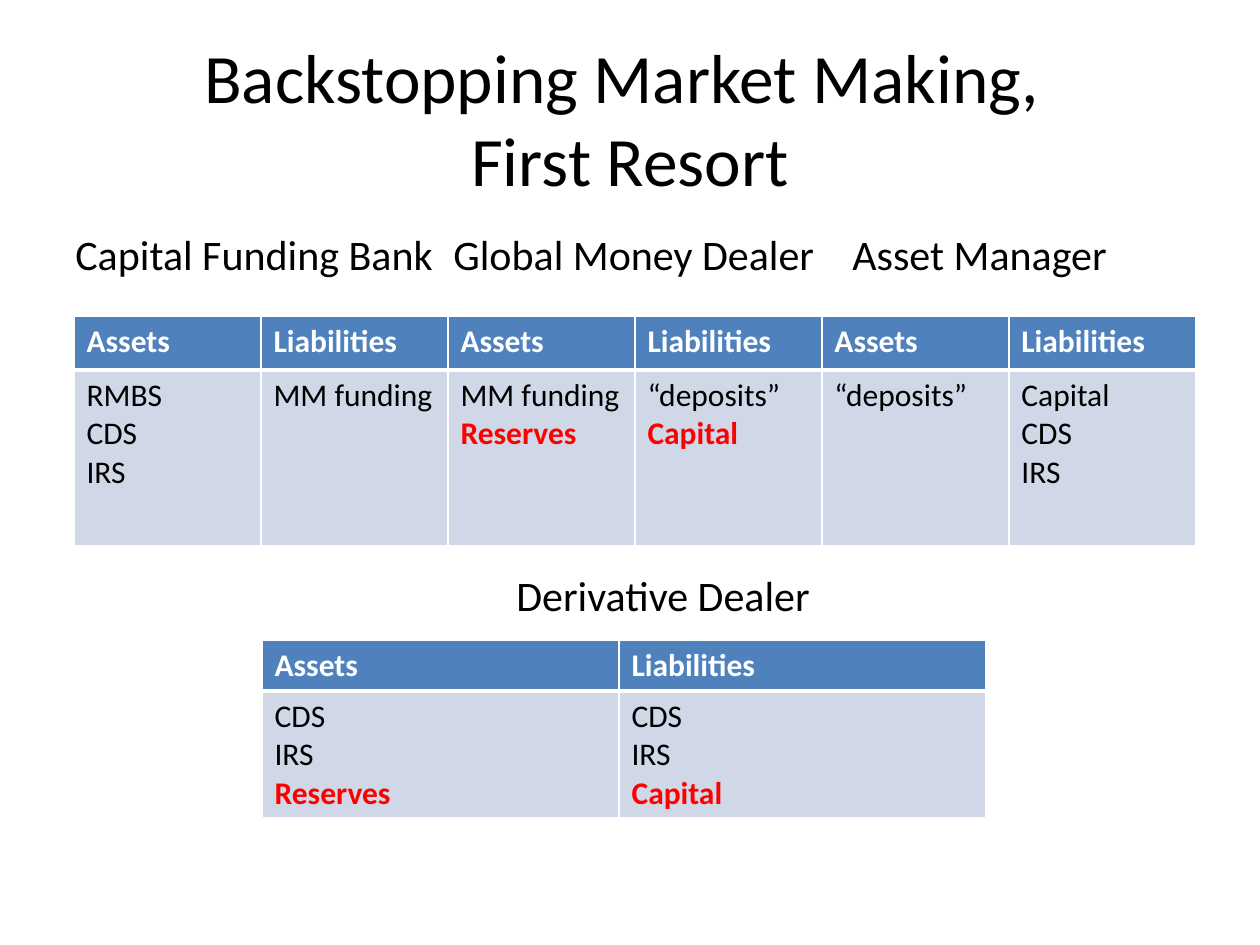
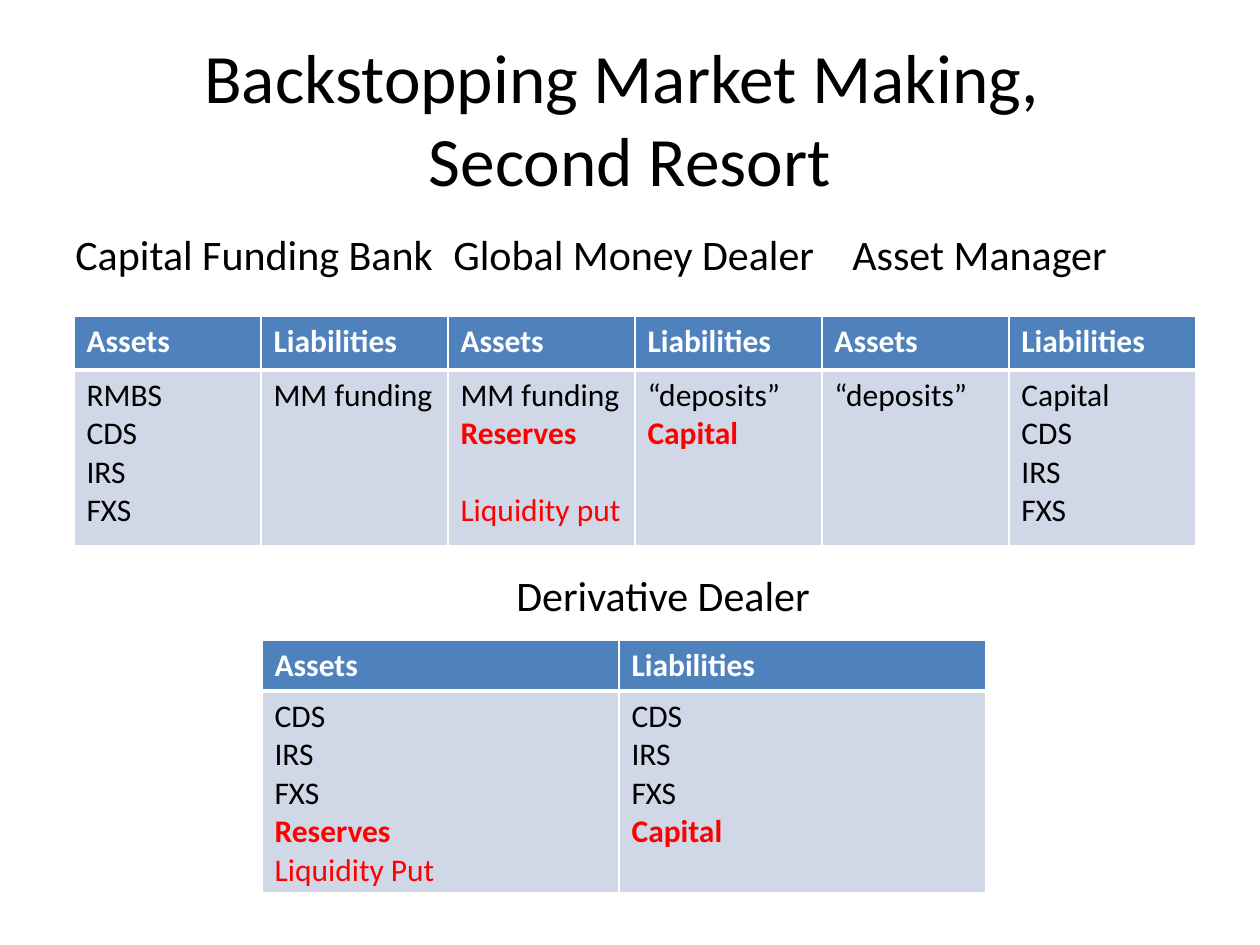
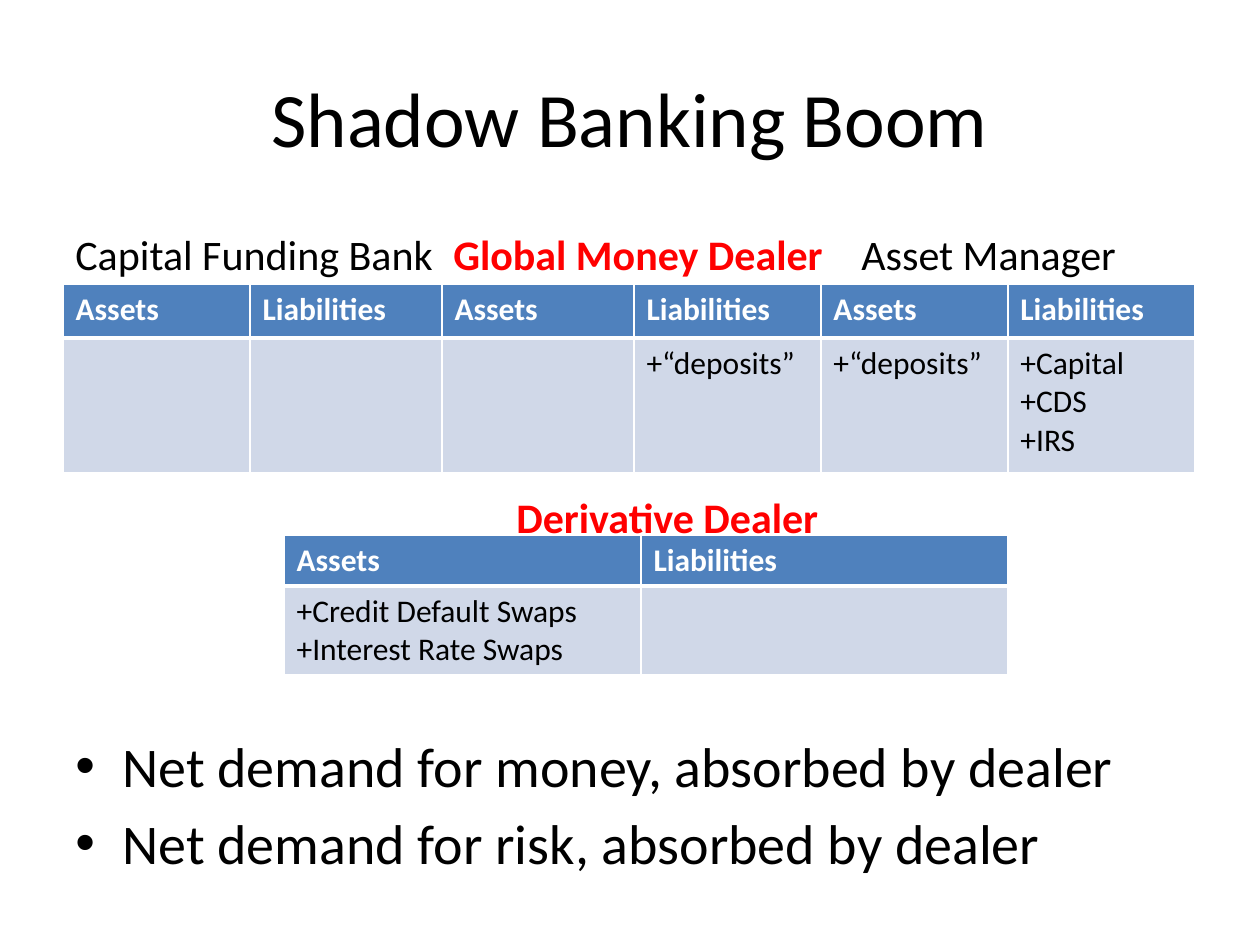
from collections import namedtuple
from dataclasses import dataclass

from lxml.etree import SubElement as Sub
from pptx import Presentation
from pptx.dml.color import RGBColor as Rgb
from pptx.enum.text import MSO_ANCHOR as Anchor, PP_ALIGN as Align
from pptx.oxml.ns import qn
from pptx.util import Emu, Pt

Box = namedtuple("Box", "x y w h")
Bit = namedtuple("Bit", "text color bold gap")


@dataclass(frozen=True)
class Theme:
    font: str = "Calibri"
    ink: str = "000000"
    paper: str = "FFFFFF"
    head: str = "4F81BD"
    body: str = "D0D8E8"
    alert: str = "FF0000"
    title: float = 44
    pair: float = 39.6
    label: float = 24
    point: float = 32
    cell: float = 18


THEME = Theme()
TITLE = Box(63, 38, 1134, 158)
BODY = Box(63, 222, 1134, 624)
STOPS = (378, 777)
DEALER = 441
HANG = 47
LINE = 38
SIDES = ("Assets", "Liabilities")
HALVES = (357, 367)


def px(n):
    return Emu(round(n * 914400 / 126))


def plain(text):
    return Bit(text, THEME.ink, False, 0)


def hot(text, bold=True, gap=0):
    return Bit(text, THEME.alert, bold, gap)


def style(run, size, color, bold=False):
    font = run.font
    font.name = THEME.font
    font.size = Pt(size)
    font.bold = bold
    font.color.rgb = Rgb.from_string(color)


def write(para, bits, size, gap=0):
    if gap:
        para.space_before = px(gap)
    for bit in bits:
        run = para.add_run()
        run.text = bit.text
        style(run, size, bit.color, bit.bold)


def frame(slide, box):
    text = slide.shapes.add_textbox(*map(px, box)).text_frame
    text.word_wrap = True
    return text


def title(slide, box, text, size):
    area = frame(slide, box)
    area.vertical_anchor = Anchor.MIDDLE
    area.text = text
    para = area.paragraphs[0]
    para.alignment = Align.CENTER
    for run in para.runs:
        style(run, size, THEME.ink)


def indent(para, left, first=0):
    props = para._p.get_or_add_pPr()
    props.set("marL", str(px(left)))
    props.set("indent", str(px(first)))
    return props


def labels(slide, box, money, dealer, drop, stops=STOPS):
    area = frame(slide, box)
    top = area.paragraphs[0]
    write(top, [plain("Capital Funding Bank\t"), money, plain("\tAsset Manager")], THEME.label)
    tabs = Sub(top._p.get_or_add_pPr(), qn("a:tabLst"))
    for stop in stops:
        Sub(tabs, qn("a:tab"), pos=str(px(stop)), algn="l")
    low = area.add_paragraph()
    write(low, [dealer], THEME.label, drop)
    indent(low, DEALER)
    return area


def points(area, items, drop, gap):
    for i, item in enumerate(items):
        para = area.add_paragraph()
        write(para, [plain(item)], THEME.point, gap if i else drop)
        props = indent(para, HANG, -HANG)
        Sub(props, qn("a:buFont"), typeface="Arial")
        Sub(props, qn("a:buChar"), char="•")


def edge(cell, side, width):
    line = Sub(cell._tc.get_or_add_tcPr(), qn("a:ln" + side), w=str(Pt(width)))
    Sub(Sub(line, qn("a:solidFill")), qn("a:srgbClr"), val=THEME.paper)


def paint(cell, color, thick):
    for side in "LRTB":
        edge(cell, side, 3 if side == thick else 1)
    cell.fill.solid()
    cell.fill.fore_color.rgb = Rgb.from_string(color)


def fill(cell, bits):
    area = cell.text_frame
    for i, bit in enumerate(bits):
        para = area.add_paragraph() if i else area.paragraphs[0]
        write(para, [bit], THEME.cell, bit.gap)


def sheet(slide, x, y, cols, rows, cells):
    box = Box(x, y, sum(cols), sum(rows))
    grid = slide.shapes.add_table(2, len(cols), *map(px, box)).table
    grid.horz_banding = False
    for row, high in zip(grid.rows, rows):
        row.height = px(high)
    for i, (wide, bits) in enumerate(zip(cols, cells)):
        grid.columns[i].width = px(wide)
        head, body = grid.cell(0, i), grid.cell(1, i)
        paint(head, THEME.head, "B")
        paint(body, THEME.body, "T")
        fill(head, [Bit(SIDES[i % 2], THEME.paper, True, 0)])
        fill(body, bits)


def resort(slide, rank, swaps, put, low, high):
    title(slide, TITLE, f"Backstopping Market Making, \v{rank} Resort", THEME.pair)
    labels(slide, BODY, plain("Global Money Dealer"), plain("Derivative Dealer"), 291)
    swaps = [plain(name) for name in swaps]
    fund, claim = plain("MM funding"), plain("“deposits”")
    held, owed = hot("Reserves"), hot("Capital")
    sheet(slide, 74, 316, [187] * 6, (54, 176), [
        [plain("RMBS"), *swaps],
        [fund],
        [fund, held, *put],
        [claim, owed],
        [claim],
        [plain("Capital"), *swaps],
    ])
    sheet(slide, 262, 640, HALVES, (51, high), [[*swaps, held, *low], [*swaps, owed]])


def boom(slide):
    title(slide, TITLE, "Shadow Banking Boom", THEME.title)
    area = labels(slide, BODY, hot("Global Money Dealer"), hot("Derivative Dealer"), 213, (378, 786))
    points(area, ("Net demand for money, absorbed by dealer",
                  "Net demand for risk, absorbed by dealer"), 189, 10)
    claim = [plain("+“deposits”")]
    sheet(slide, 63, 284, (187, 192, 192, 187, 187, 187), (54, 135), [
        [], [], [], claim, claim,
        [plain("+Capital"), plain("+CDS"), plain("+IRS")],
    ])
    sheet(slide, 284, 535, HALVES, (51, 89), [
        [plain("+Credit Default Swaps"), plain("+Interest Rate Swaps")], [],
    ])


def main():
    deck = Presentation()
    deck.slide_width, deck.slide_height = px(1260), px(945)
    first, second, third = (deck.slides.add_slide(deck.slide_layouts[6]) for _ in range(3))
    resort(first, "First", ("CDS", "IRS"), [], [], 127)
    resort(second, "Second", ("CDS", "IRS", "FXS"),
           [hot("Liquidity put", False, LINE)], [hot("Liquidity Put", False)], 202)
    boom(third)
    deck.save("out.pptx")


if __name__ == "__main__":
    main()
